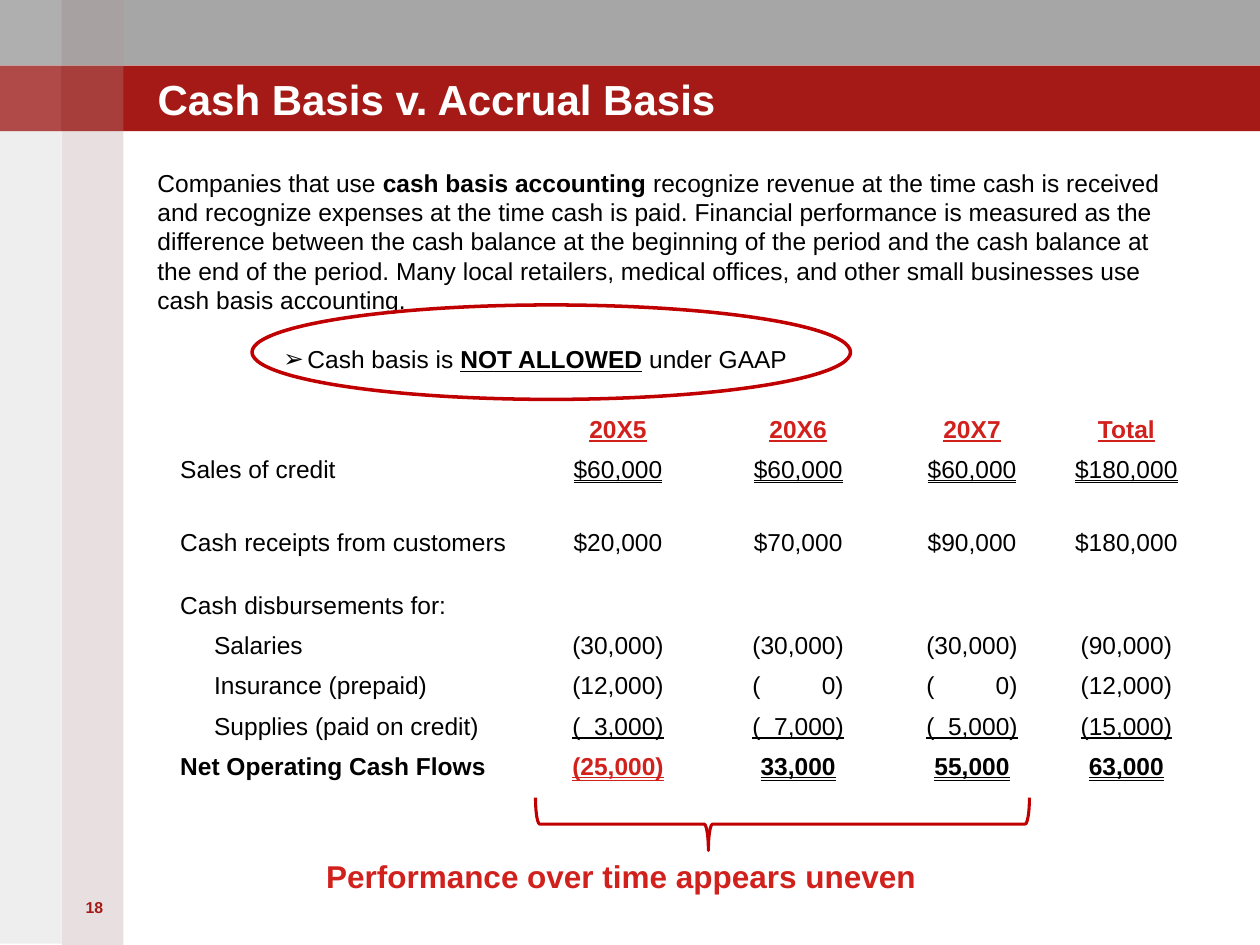
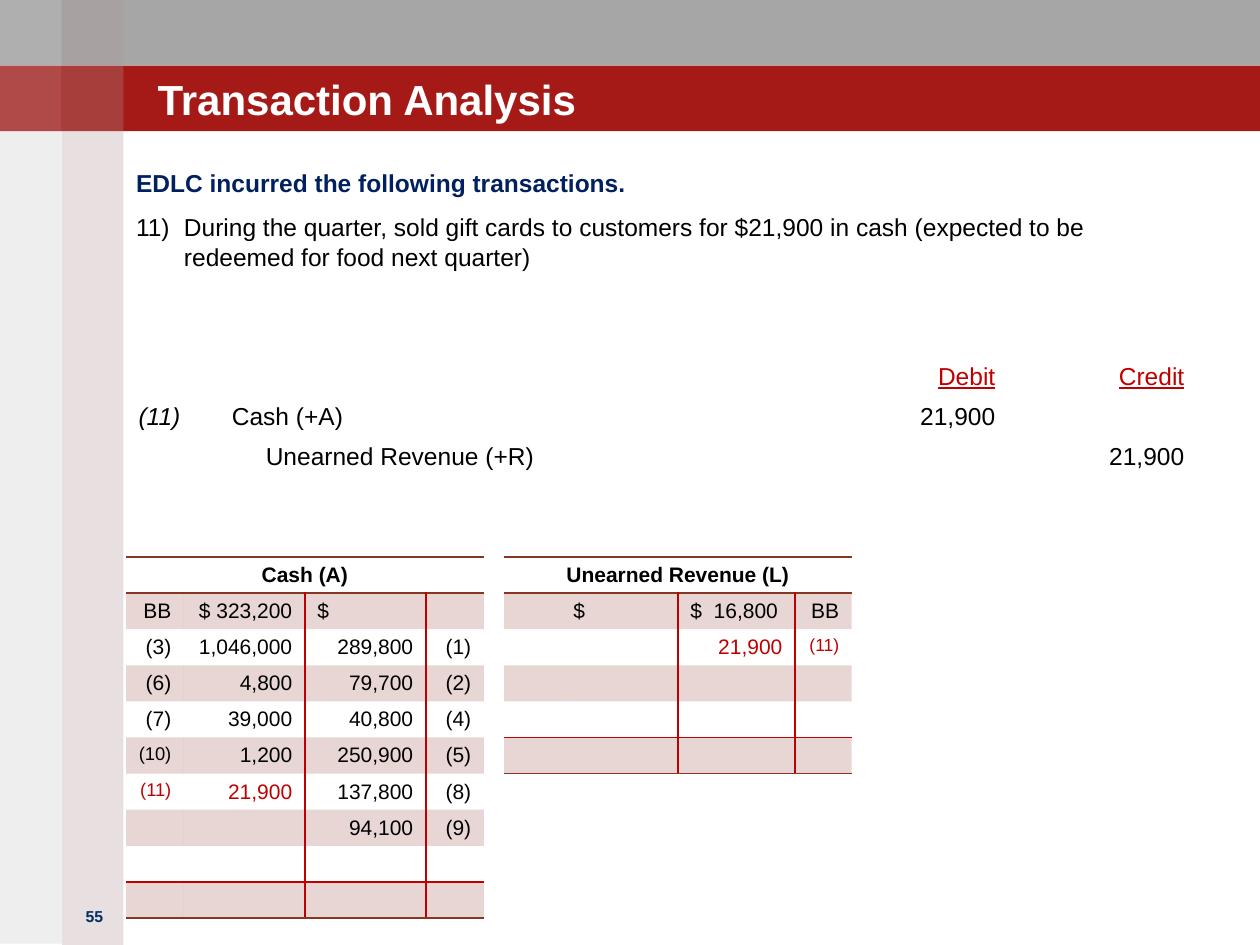
from lxml.etree import SubElement
from pptx import Presentation
from pptx.dml.color import RGBColor
from pptx.enum.shapes import MSO_SHAPE
from pptx.enum.text import MSO_ANCHOR, MSO_TEXT_UNDERLINE_TYPE, PP_ALIGN
from pptx.oxml.ns import qn
from pptx.util import Inches, Pt

WHITE = RGBColor(0xFF, 0xFF, 0xFF)
BLACK = RGBColor(0, 0, 0)
GRAY = RGBColor(0xA6, 0xA6, 0xA6)
BRICK = RGBColor(0xA5, 0x1A, 0x17)
MAUVE = RGBColor(0xA0, 0x82, 0x84)
STONE = RGBColor(0x93, 0x8F, 0x8F)
SCARLET = RGBColor(0xD1, 0x21, 0x1D)
CRIMSON = RGBColor(0xC0, 0, 0)
RUST = RGBColor(0x87, 0x36, 0x24)
NAVY = RGBColor(0, 0x20, 0x60)
PAGE_BLUE = RGBColor(0, 0x2E, 0x62)
LEFT, CENTER, RIGHT = PP_ALIGN.LEFT, PP_ALIGN.CENTER, PP_ALIGN.RIGHT
SINGLE = MSO_TEXT_UNDERLINE_TYPE.SINGLE_LINE
DOUBLE = MSO_TEXT_UNDERLINE_TYPE.DOUBLE_LINE
FONT = "Arial"
NO_GRID_STYLE = "{2D5ABB26-0587-4C30-8999-92F81FD0307C}"
ROW_HEIGHT = 0.32
T_ROW_HEIGHT = 2.87 / 10

# left, top, width, height, colour, opacity in percent
BANDS = [
    (0, 0, 10, 0.52, GRAY, 100),
    (0, 0.52, 10, 0.52, BRICK, 100),
    (0.49, 0, 0.49, 7.5, MAUVE, 25),
    (0, 0, 0.49, 7.49, STONE, 15),
] + [(left, top, 0.49, 0.52, WHITE, opacity)
     for top in (0, 0.52) for left, opacity in ((0.49, 5), (0, 15))]

CASH_BASIS = [
    ("Companies that use ", {}),
    ("cash basis accounting ", {"bold": True}),
    ("recognize revenue at the time cash is received and recognize expenses at the "
     "time cash is paid. Financial performance is measured as the difference between "
     "the cash balance at the beginning of the period and the cash balance at the end "
     "of the period. Many local retailers, medical offices, and other small businesses "
     "use cash basis accounting.", {}),
]
GAAP_RULE = [
    ("Cash basis is ", {}),
    ("NOT ALLOWED", {"bold": True, "underline": SINGLE}),
    (" under GAAP", {}),
]
CASH_FLOWS = [
    ["", "20X5", "20X6", "20X7", "Total"],
    ["Sales of credit", "$60,000", "$60,000", "$60,000", "$180,000"],
    ["Cash receipts from customers", "$20,000", "$70,000", "$90,000", "$180,000"],
    ["Cash disbursements for:", "", "", "", ""],
    ["Salaries", "(30,000)", "(30,000)", "(30,000)", "(90,000)"],
    ["Insurance (prepaid)", "(12,000)", "(         0)", "(         0)", "(12,000)"],
    ["Supplies (paid on credit)", "(  3,000)", "(  7,000)", "(  5,000)", "(15,000)"],
    ["Net Operating Cash Flows", "(25,000)", "33,000", "55,000", "63,000"],
]
JOURNAL = [
    ["", "", "Debit", "Credit"],
    ["(11)", "Cash (+A)", "21,900", ""],
    ["", "Unearned Revenue (+R)", "", "21,900"],
]
UNEARNED_REVENUE = [
    ["Unearned Revenue (L)", "", "", ""],
    ["", "$", "$  16,800", "BB"],
    ["", "", "21,900", "(11)"],
    ["", "", "", ""],
    ["", "", "", ""],
    ["", "", "", ""],
]
CASH = [
    ["Cash (A)", "", "", ""],
    ["BB", "$ 323,200", "$", ""],
    ["(3)", "1,046,000", "289,800", "(1)"],
    ["(6)", "4,800", "79,700", "(2)"],
    ["(7)", "39,000", "40,800", "(4)"],
    ["(10)", "1,200", "250,900", "(5)"],
    ["(11)", "21,900", "137,800", "(8)"],
    ["", "", "94,100", "(9)"],
    ["", "", "", ""],
    ["", "", "", ""],
]


def set_opacity(fill_parent, percent):
    color = fill_parent.find(qn("a:solidFill"))[0]
    SubElement(color, qn("a:alpha"), val=str(percent * 1000))


def write(paragraph, pieces, size=14, color=BLACK, align=LEFT, **style):
    """Fill a paragraph with (text, font attributes) pieces over a common style."""
    paragraph.alignment = align
    for text, own in pieces:
        span = paragraph.add_run()
        span.text = text
        span.font.name, span.font.size = FONT, Pt(size)
        span.font.color.rgb = color
        for name, value in {**style, **own}.items():
            setattr(span.font, name, value)


def add_box(page, at, inset=True, anchor=MSO_ANCHOR.TOP, wrap=True):
    frame = page.shapes.add_textbox(*map(Inches, at)).text_frame
    frame.word_wrap = wrap
    frame.vertical_anchor = anchor
    if not inset:
        frame.margin_left = frame.margin_right = 0
        frame.margin_top = frame.margin_bottom = 0
    return frame


def add_outline(page, preset, at, width):
    shape = page.shapes.add_shape(preset, *map(Inches, at))
    shape.shadow.inherit = False
    shape.fill.background()
    shape.line.color.rgb = CRIMSON
    shape.line.width = Pt(width)
    return shape


def add_page(deck, title, number, number_top, number_color):
    page = deck.slides.add_slide(deck.slide_layouts[6])
    for left, top, width, height, color, opacity in BANDS:
        band = page.shapes.add_shape(
            MSO_SHAPE.RECTANGLE, *map(Inches, (left, top, width, height)))
        band.shadow.inherit = False
        band.fill.solid()
        band.fill.fore_color.rgb = color
        band.line.fill.background()
        if opacity < 100:
            set_opacity(band._element.spPr, opacity)
    number_box = add_box(page, (0.5, number_top, 0.5, 0.5))
    write(number_box.paragraphs[0], [(number, {})], 9, number_color, CENTER, bold=True)
    title_box = add_box(page, (1.25, 0.31, 8.25, 0.67), False, MSO_ANCHOR.BOTTOM)
    write(title_box.paragraphs[0], [(title, {})], 24, WHITE, bold=True)
    return page


def add_body(page, at, paragraphs):
    """Write (pieces, colour) paragraphs and return them for further formatting."""
    frame = add_box(page, at, inset=False)
    for index, (pieces, color) in enumerate(paragraphs):
        paragraph = frame.add_paragraph() if index else frame.paragraphs[0]
        write(paragraph, pieces, color=color)
    return frame.paragraphs


def set_bullet(paragraph, margin, hanging, tag, **attributes):
    properties = paragraph._p.get_or_add_pPr()
    properties.set("marL", str(Inches(margin)))
    properties.set("indent", str(-Inches(hanging)))
    SubElement(properties, qn("a:buFont"), typeface=FONT)
    SubElement(properties, qn(tag), **attributes)


def add_grid(page, at, columns, heights, rows, style_of, size=14):
    """Add a plain table; style_of(row, column, text) gives the style of a cell."""
    left, top = at
    table = page.shapes.add_table(
        len(rows), len(columns), Inches(left), Inches(top),
        Inches(sum(columns)), Inches(sum(heights))).table
    table._tbl.tblPr.find(qn("a:tableStyleId")).text = NO_GRID_STYLE
    table.first_row = table.horz_banding = False
    for column, width in zip(table.columns, columns):
        column.width = Inches(width)
    for row, height in zip(table.rows, heights):
        row.height = Inches(height)
    for r, row in enumerate(rows):
        for c, text in enumerate(row):
            cell = table.cell(r, c)
            cell.margin_bottom = Inches(0.03)
            paragraph = cell.text_frame.paragraphs[0]
            if text:
                write(paragraph, [(text, {})], **{"size": size, **style_of(r, c, text)})
            else:
                SubElement(paragraph._p, qn("a:endParaRPr"), sz=str(size * 100))
    return table


def set_borders(cell, borders):
    properties = cell._tc.get_or_add_tcPr()
    for side in "LRTB":
        if side in borders:
            line = SubElement(properties, qn("a:ln" + side), w=str(Pt(1)))
            fill = SubElement(line, qn("a:solidFill"))
            SubElement(fill, qn("a:srgbClr"), val=str(borders[side]))


def add_t_account(page, left, columns, rows, new_entry, reference_size):
    """Add a T account; new_entry holds the (row, column) cells shown in red."""
    last = len(rows) - 1

    def style_of(r, c, text):
        if r == 0:
            return {"align": CENTER, "bold": True}
        style = {"align": LEFT if text in ("$", "$  16,800") else RIGHT}
        if (r, c) in new_entry:
            style["color"] = CRIMSON
        if text in ("(10)", "(11)"):
            style["size"] = reference_size
        return style

    table = add_grid(page, (left, 4.42), columns, [T_ROW_HEIGHT] * len(rows), rows,
                     style_of, 12)
    table.cell(0, 0).merge(table.cell(0, 3))
    for r in range(len(rows)):
        for c in range(4):
            cell = table.cell(r, c)
            borders = {}
            if r == 0:
                borders = {"T": RUST, "B": RUST}
            else:
                if c in (1, 2):
                    borders["R"] = CRIMSON
                if c in (2, 3):
                    borders["L"] = CRIMSON
                if r == last - 1:
                    borders["B"] = CRIMSON
                if r == last:
                    borders.update(T=CRIMSON, B=RUST)
            set_borders(cell, borders)
            if r % 2:
                cell.fill.solid()
                cell.fill.fore_color.rgb = RUST
                set_opacity(cell._tc.tcPr, 20)


def cash_flow_style(r, c, text):
    style = {"align": CENTER if c else LEFT, "bold": r in (0, 7)}
    if r == 0 or text == "(25,000)":
        style["color"] = SCARLET
    if c:
        style["underline"] = {0: SINGLE, 1: DOUBLE, 6: SINGLE, 7: DOUBLE}.get(r, False)
    return style


def journal_style(r, c, text):
    style = {"align": RIGHT if c > 1 else LEFT, "italic": c == 0}
    if r == 0:
        style.update(color=CRIMSON, underline=SINGLE)
    return style


def build_cash_basis(deck):
    page = add_page(deck, "Cash Basis v. Accrual Basis", "18", 7.08, BRICK)
    _, rule = add_body(page, (1.25, 1.33, 8, 5.58),
                       [(CASH_BASIS, BLACK), (GAAP_RULE, BLACK)])
    rule.space_before = Pt(17)
    set_bullet(rule, 1.19, 0.19, "a:buChar", char="➢")
    heights = [ROW_HEIGHT, 0.58, ROW_HEIGHT, 0.5] + [ROW_HEIGHT] * 4
    table = add_grid(page, (1.33, 3.25), [2.86, 1.43, 1.43, 1.33, 1.12], heights,
                     CASH_FLOWS, cash_flow_style)
    heading = table.cell(3, 0)
    heading.vertical_anchor = MSO_ANCHOR.BOTTOM
    heading.margin_bottom = Inches(0.05)
    for r in (4, 5, 6):
        table.cell(r, 0).margin_left = Inches(0.37)
    verdict = add_box(page, (2.49, 6.75, 4.93, 0.4), wrap=False)
    write(verdict.paragraphs[0], [("Performance over time appears uneven", {})],
          18, SCARLET, bold=True)
    brace = add_outline(page, MSO_SHAPE.LEFT_BRACE, (6, 4.58, 0.42, 3.92), 1.75)
    brace.rotation = 270
    brace.adjustments[0], brace.adjustments[1] = 0.08, 0.35
    add_outline(page, MSO_SHAPE.OVAL, (2, 2.42, 4.75, 0.75), 2)


def build_transaction(deck):
    page = add_page(deck, "Transaction Analysis", "55", 7.15, PAGE_BLUE)
    intro, event = add_body(page, (1.08, 1.33, 8.42, 5.83), [
        ([("EDLC incurred the following transactions.", {"bold": True})], NAVY),
        ([("During the quarter, sold gift cards to customers for $21,900 in cash "
           "(expected to be redeemed for food next quarter)", {})], BLACK)])
    intro.space_after = Pt(6)
    event.space_before = Pt(2.8)
    set_bullet(event, 0.38, 0.38, "a:buAutoNum", type="arabicParenR", startAt="11")
    table = add_grid(page, (1, 2.83), [0.74, 5.01, 1.25, 1.5], [ROW_HEIGHT] * 3,
                     JOURNAL, journal_style)
    table.cell(2, 1).margin_left = Inches(0.37)
    add_t_account(page, 4, [0.45, 0.93, 0.93, 0.45], UNEARNED_REVENUE,
                  {(2, 2), (2, 3)}, 10)
    add_t_account(page, 1, [0.46, 0.96, 0.96, 0.46], CASH, {(6, 0), (6, 1)}, 10.5)


def main():
    deck = Presentation()
    deck.slide_width, deck.slide_height = Inches(10), Inches(7.5)
    build_cash_basis(deck)
    build_transaction(deck)
    deck.save("out.pptx")


if __name__ == "__main__":
    main()
